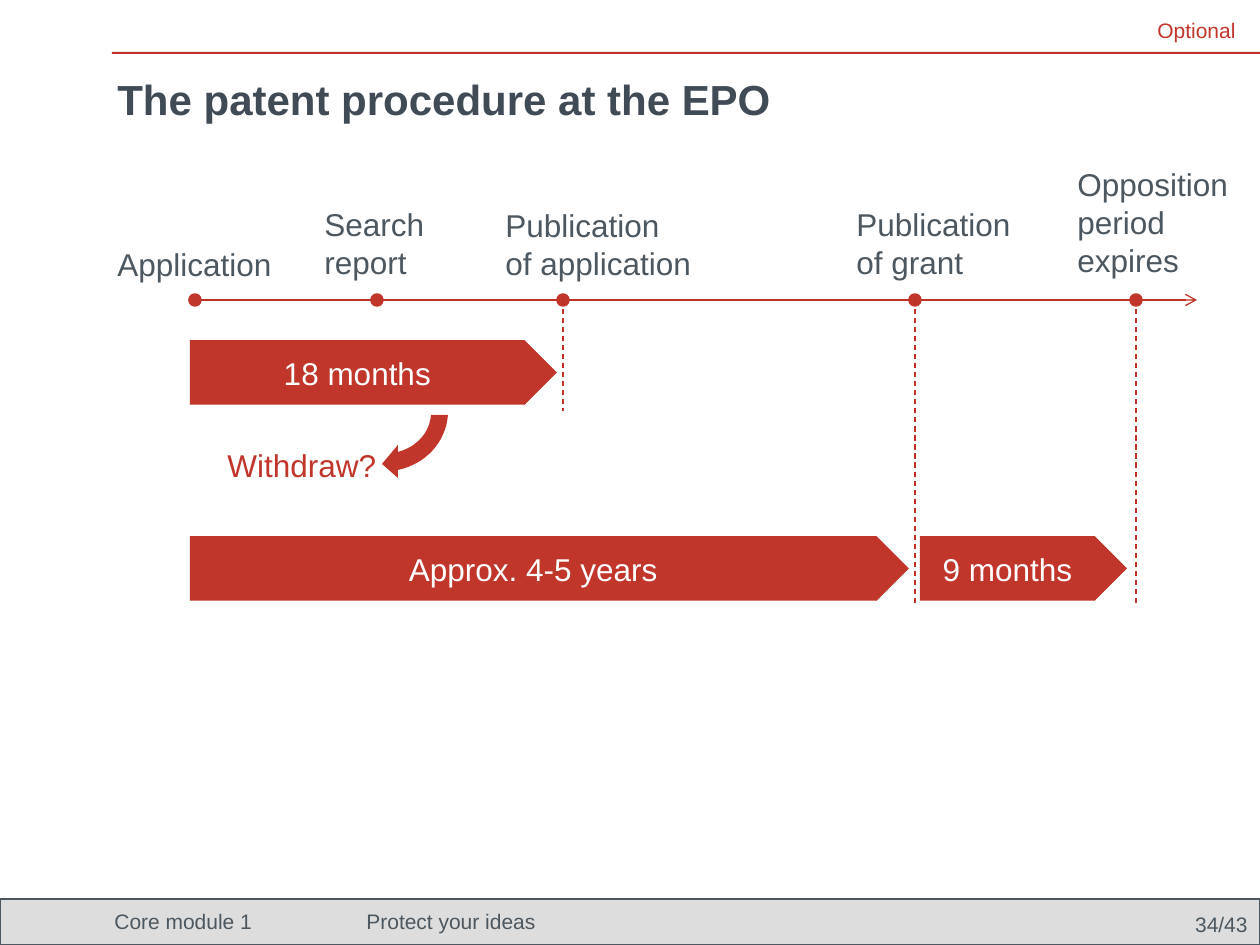
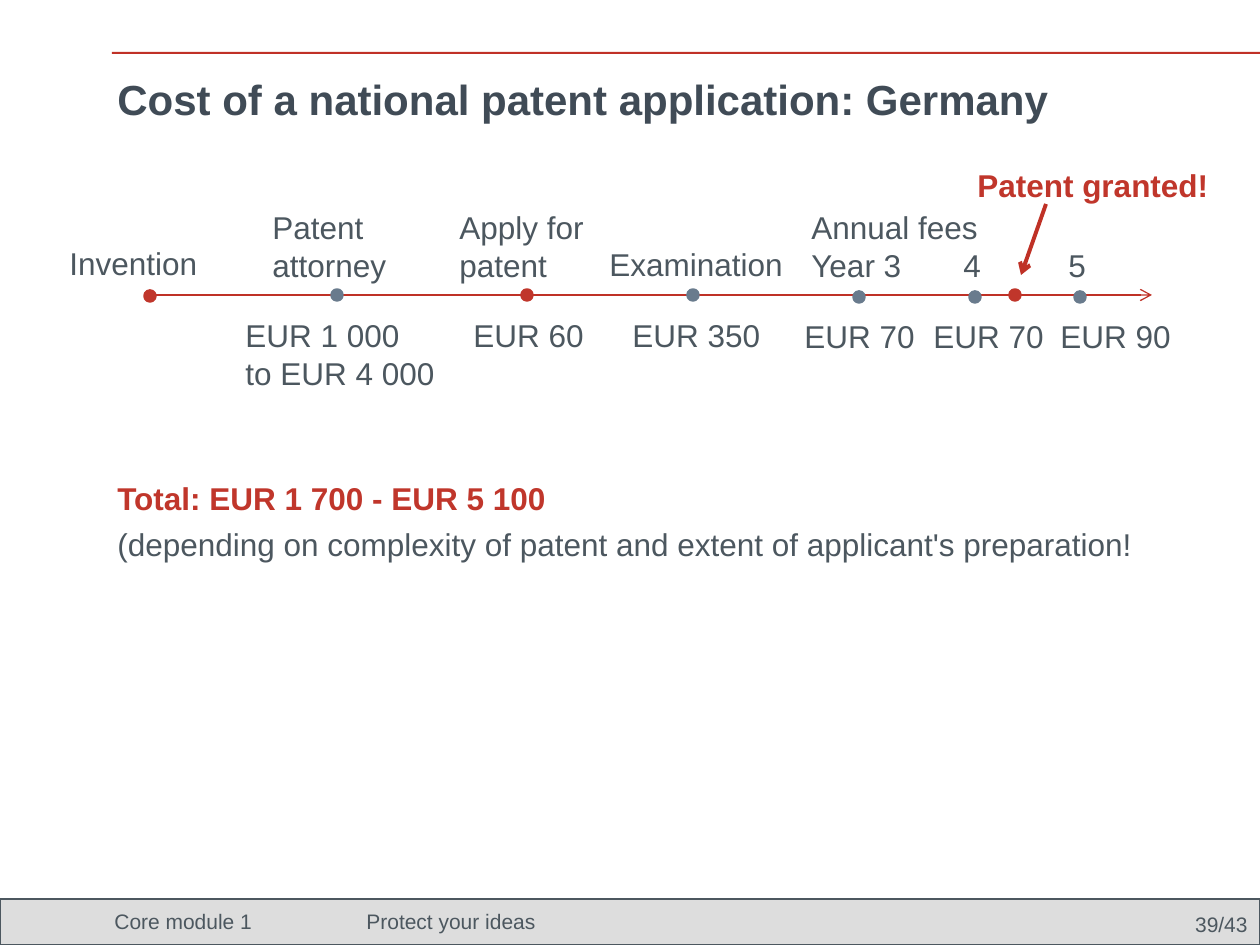
import dataclasses

import pptx
import pptx.dml.color
import pptx.enum.dml
import pptx.enum.shapes
import pptx.enum.text
import pptx.oxml.ns
import pptx.util
from lxml import etree

SCALE = 914400 / 126
SHAPE = pptx.enum.shapes.MSO_SHAPE
ALIGN = pptx.enum.text.PP_ALIGN
ANCHOR = pptx.enum.text.MSO_ANCHOR


@dataclasses.dataclass(frozen=True)
class Theme:
    font: str = "Arial"
    red: str = "C0362B"
    line: str = "BF3126"
    rule: str = "C03127"
    steel: str = "697B8D"
    text: str = "4C575F"
    title: str = "404B56"
    band: str = "DDDDDD"
    white: str = "FFFFFF"
    title_size: int = 24
    body_size: int = 18
    small_size: int = 12


@dataclasses.dataclass(frozen=True)
class Box:
    x: int
    y: int
    w: int
    h: int

    def sub(self, dx, dy, w, h):
        return Box(self.x + dx, self.y + dy, w, h)

    def emu(self):
        return [px(v) for v in (self.x, self.y, self.w, self.h)]


THEME = Theme()
PAGE = Box(0, 0, 1260, 945)
TITLE_BOX = Box(105, 55, 1060, 88)
FOOTER_BOX = Box(0, 899, 1260, 46)


def px(value):
    return pptx.util.Emu(round(value * SCALE))


def rgb(color):
    return pptx.dml.color.RGBColor.from_string(color)


def add_element(parent, tag, **attrs):
    return etree.SubElement(parent, pptx.oxml.ns.qn(tag), **attrs)


def style_paragraph(p, color, size, bold=False, tabs=()):
    if tabs:
        tab_list = add_element(p._p.get_or_add_pPr(), "a:tabLst")
        for pos in tabs:
            add_element(tab_list, "a:tab", pos=str(px(pos)), algn="l")
    p.font.name = THEME.font
    p.font.size = pptx.util.Pt(size)
    p.font.bold = bold
    p.font.color.rgb = rgb(color)


def add_text(slide, box, text, color=THEME.text, size=THEME.body_size,
             bold=False, anchor=ANCHOR.TOP, align=ALIGN.LEFT, tabs=()):
    tf = slide.shapes.add_textbox(*box.emu()).text_frame
    tf.word_wrap = True
    tf.vertical_anchor = anchor
    for i, line in enumerate(text.split("\n")):
        p = tf.add_paragraph() if i else tf.paragraphs[0]
        p.text = line
        p.alignment = align
        style_paragraph(p, color, size, bold, tabs if "\t" in line else ())
    return tf


def paint(sp, fill, line=None, width=0.75):
    sp.shadow.inherit = False
    sp.fill.solid()
    sp.fill.fore_color.rgb = rgb(fill)
    if line:
        sp.line.color.rgb = rgb(line)
        sp.line.width = pptx.util.Pt(width)
    else:
        sp.line.fill.background()


def add_shape(slide, kind, box, fill, line=None, width=0.75):
    sp = slide.shapes.add_shape(kind, *box.emu())
    paint(sp, fill, line, width)
    return sp


def add_line(slide, box, start, end, width=0.75, arrow=False, dashed=False):
    ends = [px(v) for x, y in (start, end) for v in (box.x + x, box.y + y)]
    cxn = slide.shapes.add_connector(pptx.enum.shapes.MSO_CONNECTOR.STRAIGHT, *ends)
    cxn.line.color.rgb = rgb(THEME.line)
    cxn.line.width = pptx.util.Pt(width)
    if dashed:
        cxn.line.dash_style = pptx.enum.dml.MSO_LINE.DASH
    if arrow:
        add_element(cxn.line._get_or_add_ln(), "a:tailEnd", type="arrow")
    add_element(cxn._element.spPr, "a:effectLst")


def add_frame(slide, title, page_number):
    add_shape(slide, SHAPE.RECTANGLE, FOOTER_BOX, THEME.band, THEME.text)
    add_shape(slide, SHAPE.RECTANGLE, PAGE.sub(112, 52, 1148, 2), THEME.rule)
    add_text(slide, FOOTER_BOX.sub(102, 7, 1062, 30),
             "Core module 1\tProtect your ideas", size=THEME.small_size,
             anchor=ANCHOR.MIDDLE, tabs=[252])
    add_text(slide, FOOTER_BOX.sub(1155, 15, 105, 20), f"{page_number}/43",
             size=THEME.small_size, anchor=ANCHOR.MIDDLE, align=ALIGN.RIGHT)
    add_text(slide, TITLE_BOX, title, THEME.title, THEME.title_size, True,
             ANCHOR.MIDDLE)


def add_axis(slide, box, axis_y, dots):
    add_line(slide, box, (0, axis_y), (box.w, axis_y), arrow=True)
    for x, y, color in dots:
        add_shape(slide, SHAPE.OVAL, box.sub(x - 5, y - 5, 10, 10), color, color, 2)


def add_labels(slide, box, labels):
    for text, x, y, w in labels:
        height = 50 + 38 * text.count("\n")
        add_text(slide, box.sub(x, y, w, height), text, tabs=[152, 257])


def add_duration(slide, box, text):
    sp = add_shape(slide, SHAPE.RIGHT_ARROW, box, THEME.red)
    sp.adjustments[0] = 0.994
    sp.adjustments[1] = 0.5
    tf = sp.text_frame
    tf.word_wrap = True
    tf.vertical_anchor = ANCHOR.MIDDLE
    p = tf.paragraphs[0]
    p.text = text
    p.alignment = ALIGN.CENTER
    style_paragraph(p, THEME.white, THEME.body_size)


def bezier(points, steps=16):
    weights = (1, 3, 3, 1)
    for step in range(steps + 1):
        t = step / steps
        yield tuple(
            sum(k * (1 - t) ** (3 - i) * t ** i * pt[axis]
                for i, (k, pt) in enumerate(zip(weights, points)))
            for axis in (0, 1))


def add_withdraw(slide, box):
    outer = bezier([(66, 0), (64, 27), (44, 49), (16, 55)])
    head = [(16, 63), (0, 49), (16, 30)]
    inner = bezier([(16, 37), (35, 32), (48, 17), (49, 0)])
    points = [(px(box.x + x), px(box.y + y)) for x, y in (*outer, *head, *inner)]
    builder = slide.shapes.build_freeform(*points[0], scale=1.0)
    builder.add_line_segments(points[1:], close=True)
    paint(builder.convert_to_shape(), THEME.red)
    add_text(slide, box.sub(-167, 25, 180, 50), "Withdraw?", THEME.red)


def procedure_slide(slide, box):
    add_frame(slide, "The patent procedure at the EPO", 34)
    axis_y = 140
    add_axis(slide, box, axis_y,
             [(x, axis_y, THEME.red) for x in (5, 187, 373, 725, 946)])
    add_labels(slide, box, [
        ("Application", -85, 79, 185),
        ("Search\nreport", 122, 39, 140),
        ("Publication\nof application", 303, 40, 220),
        ("Publication\nof grant", 654, 39, 185),
        ("Opposition\nperiod\nexpires", 875, -1, 185),
    ])
    add_withdraw(slide, box.sub(192, 255, 66, 63))
    for text, x, y, w in [("18 months", 0, 180, 367),
                          ("Approx. 4-5 years", 0, 376, 719),
                          ("9 months", 730, 376, 207)]:
        add_duration(slide, box.sub(x, y, w, 65), text)
    for x, bottom in [(373, 251), (725, 446), (946, 446)]:
        add_line(slide, box, (x, axis_y), (x, bottom), dashed=True)
    add_text(slide, PAGE.sub(1145, 11, 115, 38), "Optional", THEME.red,
             THEME.small_size)


def cost_slide(slide, box):
    add_frame(slide, "Cost of a national patent application: Germany", 39)
    axis_y = 135
    add_axis(slide, box, axis_y, [
        (5, axis_y + 1, THEME.red),
        (192, axis_y, THEME.steel),
        (382, axis_y, THEME.red),
        (548, axis_y, THEME.steel),
        (714, axis_y + 2, THEME.steel),
        (830, axis_y + 2, THEME.steel),
        (870, axis_y, THEME.red),
        (935, axis_y + 2, THEME.steel),
    ])
    add_labels(slide, box, [
        ("Invention", -88, 78, 170),
        ("Patent\nattorney", 115, 42, 181),
        ("Apply for\npatent", 302, 42, 161),
        ("Examination", 452, 79, 207),
        ("Annual fees\nYear 3\t4\t5", 654, 42, 328),
        ("EUR 1 000\nto EUR 4 000", 88, 150, 220),
        ("EUR 60", 316, 150, 145),
        ("EUR 350", 475, 150, 165),
        ("EUR 70", 647, 151, 145),
        ("EUR 70", 776, 151, 145),
        ("EUR 90", 903, 151, 145),
    ])
    add_line(slide, box, (901, 44), (876, 115), 2.25, arrow=True)
    add_text(slide, box.sub(820, 0, 265, 50), "Patent granted!", THEME.red, bold=True)
    tf = add_text(slide, box.sub(-40, 313, 1060, 96),
                  "Total: EUR 1 700 - EUR 5 100\n"
                  "(depending on complexity of patent and extent of "
                  "applicant's preparation!")
    total, note = tf.paragraphs
    style_paragraph(total, THEME.red, THEME.body_size, True)
    note.line_spacing = 1.2


def main():
    prs = pptx.Presentation()
    prs.slide_width, prs.slide_height = px(PAGE.w), px(PAGE.h)
    blank = prs.slide_layouts[6]
    procedure_slide(prs.slides.add_slide(blank), Box(190, 160, 1007, 450))
    cost_slide(prs.slides.add_slide(blank), Box(145, 160, 1007, 450))
    prs.save("out.pptx")


if __name__ == "__main__":
    main()
